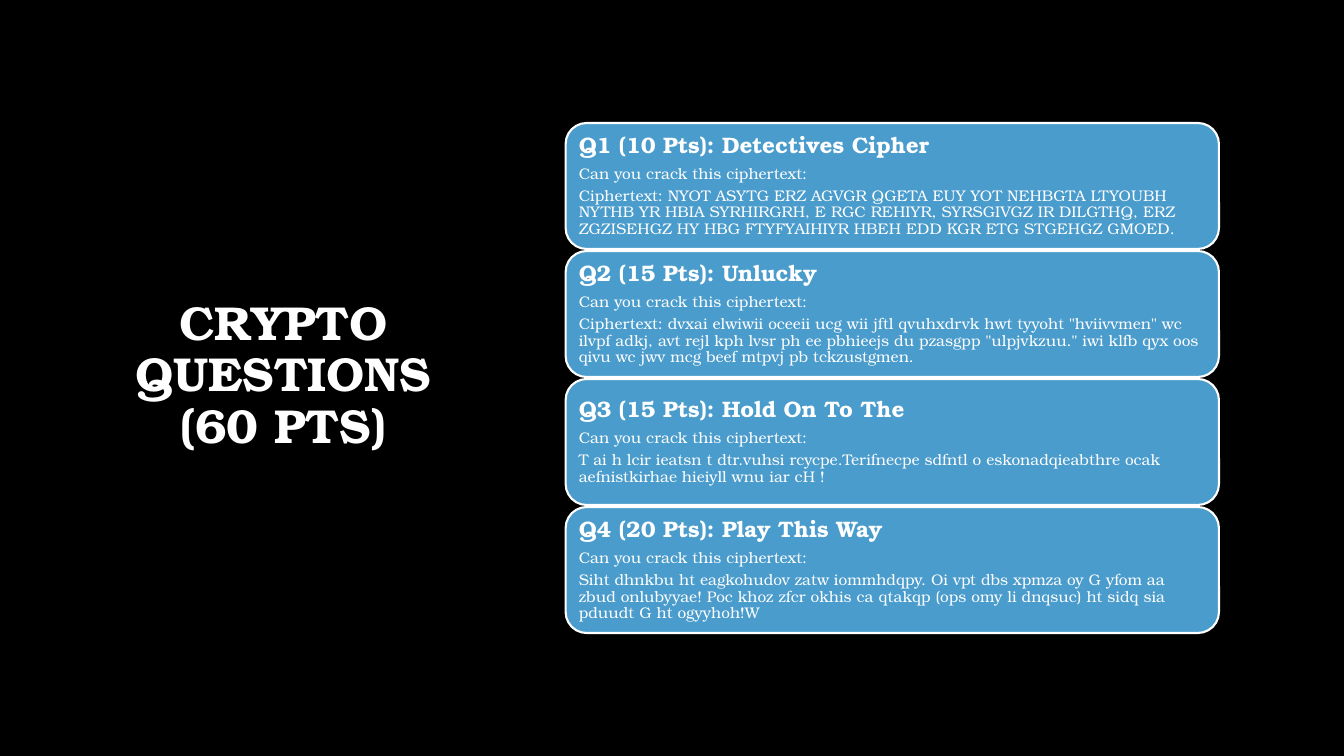
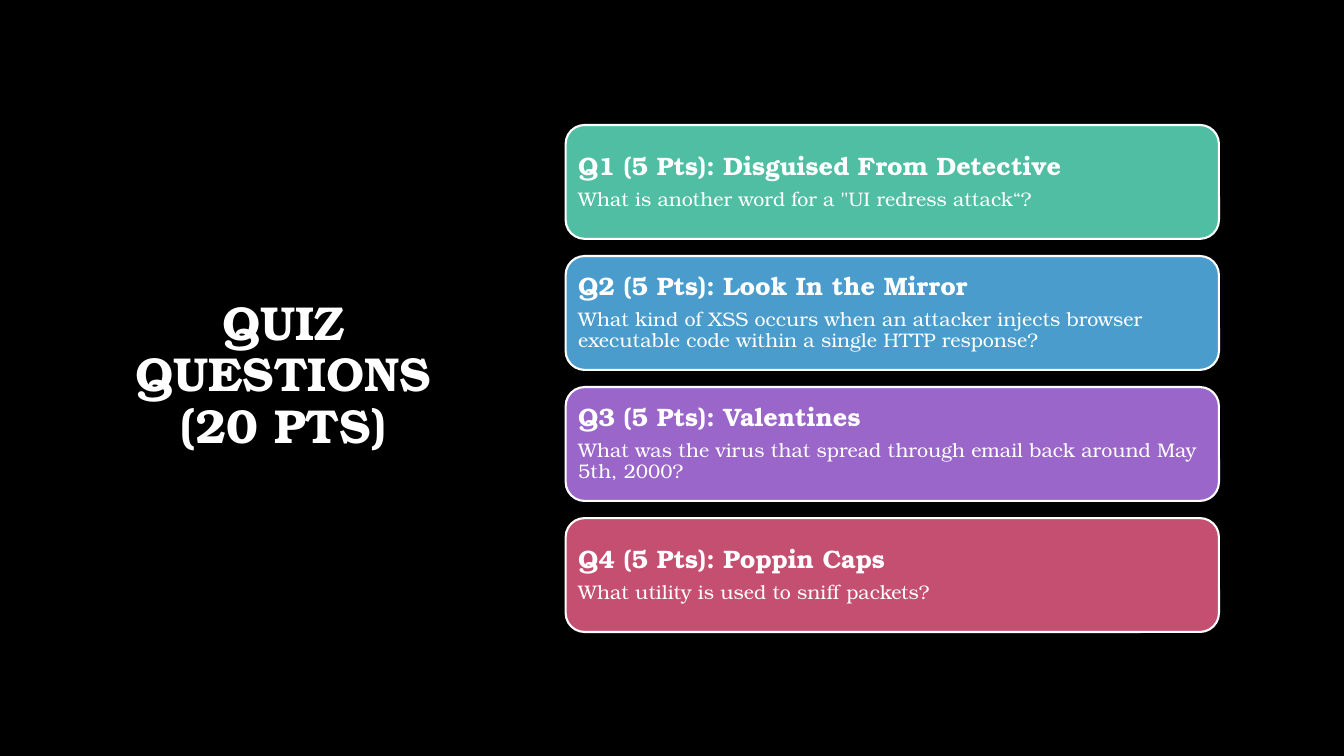
from dataclasses import dataclass

from pptx import Presentation
from pptx.dml.color import RGBColor as Rgb
from pptx.enum.shapes import MSO_SHAPE as Geo
from pptx.enum.text import MSO_ANCHOR as Anchor, PP_ALIGN as Align
from pptx.util import Inches, Pt


@dataclass(frozen=True)
class Theme:
    font: str = "TeX Gyre Bonum"
    back: str = "000000"
    ink: str = "FFFFFF"
    green: str = "50BEA3"
    blue: str = "4A9CCC"
    purple: str = "9A66CA"
    rose: str = "C54F71"
    title: int = 34
    line: float = 1.5
    lead: float = 0.9
    after: float = 0.35  # paragraph gap as a share of the type size


T = Theme()
HEAD = (0.82, 0.67, 3.98, 6.13)

ASK = "Can you crack this ciphertext:"
CRYPTO = [
    ("Q1 (10 Pts): Detectives Cipher", ASK,
     "Ciphertext: NYOT ASYTG ERZ AGVGR QGETA EUY YOT NEHBGTA LTYOUBH "
     "NYTHB YR HBIA SYRHIRGRH, E RGC REHIYR, SYRSGIVGZ IR DILGTHQ, ERZ "
     "ZGZISEHGZ HY HBG FTYFYAIHIYR HBEH EDD KGR ETG STGEHGZ GMOED."),
    ("Q2 (15 Pts): Unlucky", ASK,
     'Ciphertext: dvxai elwiwii oceeii ucg wii jftl qvuhxdrvk hwt tyyoht '
     '"hviivvmen" wc ilvpf adkj, avt rejl kph lvsr ph ee pbhieejs du pzasgpp '
     '"ulpjvkzuu." iwi klfb qyx oos qivu wc jwv mcg beef mtpvj pb tckzustgmen.'),
    ("Q3 (15 Pts): Hold On To The", ASK,
     "T ai h lcir ieatsn t dtr.vuhsi rcycpe.Terifnecpe sdfntl o "
     "eskonadqieabthre ocak aefnistkirhae hieiyll wnu iar cH !"),
    ("Q4 (20 Pts): Play This Way", ASK,
     "Siht dhnkbu ht eagkohudov zatw iommhdqpy. Oi vpt dbs xpmza oy G yfom aa "
     "zbud onlubyyae! Poc khoz zfcr okhis ca qtakqp (ops omy li dnqsuc) ht sidq "
     "sia pduudt G ht ogyyhoh!W"),
]
QUIZ = [
    ("Q1 (5 Pts): Disguised From Detective",
     'What is another word for a "UI redress attack“?'),
    ("Q2 (5 Pts): Look In the Mirror",
     "What kind of XSS occurs when an attacker injects browser executable code "
     "within a single HTTP response?"),
    ("Q3 (5 Pts): Valentines",
     "What was the virus that spread through email back around May 5th, 2000?"),
    ("Q4 (5 Pts): Poppin Caps", "What utility is used to sniff packets?"),
]


def format_all(item, values):
    for key, value in values.items():
        setattr(item, key, value)


def write(par, text, size, bold, align, after=0):
    par.text = text
    format_all(par, {"alignment": align, "line_spacing": T.lead,
                     "space_after": Pt(after)})
    for run in par.runs:
        format_all(run.font, {"name": T.font, "size": Pt(size), "bold": bold})
        run.font.color.rgb = Rgb.from_string(T.ink)


# Heading on the left
def add_head(slide, box, text):
    frame = slide.shapes.add_textbox(*map(Inches, box)).text_frame
    format_all(frame, {"word_wrap": True, "vertical_anchor": Anchor.MIDDLE})
    write(frame.paragraphs[0], text, T.title, True, Align.CENTER)


# One question card: bold heading, then plain lines
def add_card(slide, box, texts, fill, sizes):
    card = slide.shapes.add_shape(Geo.ROUNDED_RECTANGLE, *map(Inches, box))
    card.shadow.inherit = False
    card.fill.solid()
    card.fill.fore_color.rgb = Rgb.from_string(fill)
    card.line.color.rgb = Rgb.from_string(T.ink)
    card.line.width = Pt(T.line)
    frame = card.text_frame
    format_all(frame, {"word_wrap": True, "vertical_anchor": Anchor.MIDDLE})
    for side in ("left", "top", "right", "bottom"):
        setattr(frame, f"margin_{side}", Inches(0.07))
    for i, text in enumerate(texts):
        par = frame.paragraphs[0] if i == 0 else frame.add_paragraph()
        size = sizes[min(i, 1)]
        write(par, text, size, i == 0, Align.LEFT, size * T.after)


# Column of equal cards in a box
def add_stack(slide, box, gap, items, fills, sizes):
    left, top, width, height = box
    tall = (height - gap * (len(items) - 1)) / len(items)
    for i, (texts, fill) in enumerate(zip(items, fills)):
        place = (left, top + i * (tall + gap), width, tall)
        add_card(slide, place, texts, fill, sizes)


def add_page(deck, title, *stack):
    slide = deck.slides.add_slide(deck.slide_layouts[6])
    fill = slide.background.fill
    fill.solid()
    fill.fore_color.rgb = Rgb.from_string(T.back)
    add_head(slide, HEAD, title)
    add_stack(slide, *stack)


def main():
    deck = Presentation()
    format_all(deck, {"slide_width": Inches(13.33), "slide_height": Inches(7.5)})
    add_page(deck, "CRYPTO QUESTIONS\v(60 PTS)", (5.61, 1.22, 6.48, 5.06), 0.02,
             CRYPTO, [T.blue] * len(CRYPTO), (16, 11))
    add_page(deck, "QUIZ QUESTIONS\v(20 PTS)", (5.61, 1.24, 6.48, 5.03), 0.17,
             QUIZ, [T.green, T.blue, T.purple, T.rose], (18, 14))
    deck.save("out.pptx")


if __name__ == "__main__":
    main()
